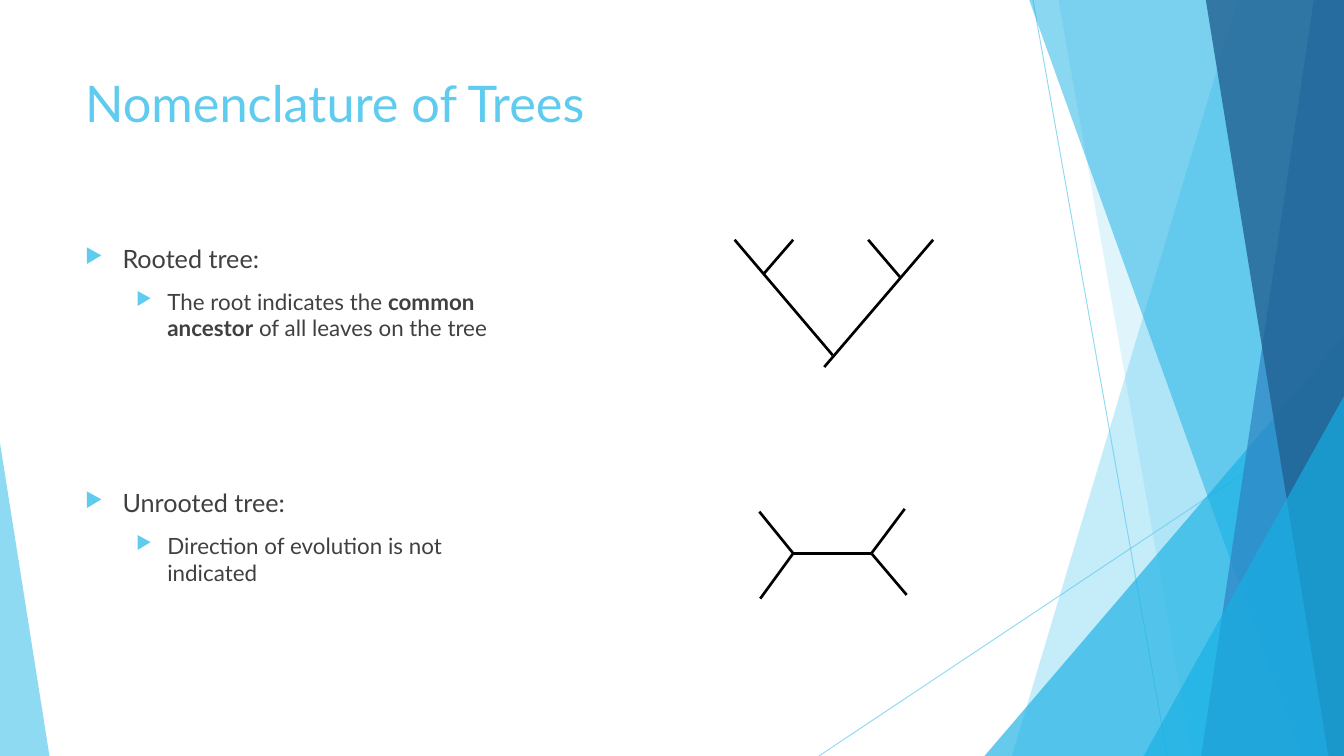
"""Build the slide on the nomenclature of rooted and unrooted trees."""
from lxml.etree import SubElement
from pptx import Presentation
from pptx.dml.color import RGBColor
from pptx.enum.shapes import MSO_CONNECTOR as CONNECTOR, MSO_SHAPE as SHAPE
from pptx.enum.text import MSO_ANCHOR as ANCHOR
from pptx.oxml.ns import qn
from pptx.util import Inches, Pt

SKY = RGBColor(0x5F, 0xCB, 0xEF)
CYAN = RGBColor(0x17, 0xB0, 0xE4)
BLUE = RGBColor(0x2E, 0x83, 0xC3)
NAVY = RGBColor(0x22, 0x62, 0x92)
GREY = RGBColor(0x40, 0x40, 0x40)
BLACK = RGBColor(0, 0, 0)
FONT = "Lato"

presentation = Presentation()
presentation.slide_width = Inches(14.69)
presentation.slide_height = Inches(8.26)
slide = presentation.slides.add_slide(presentation.slide_layouts[6])
shapes = slide.shapes
COLUMN = presentation.slide_width / 100
ROW = presentation.slide_height / 100


def set_opacity(shape, percent):
    for color in shape.element.spPr.iter(qn("a:srgbClr")):
        SubElement(color, qn("a:alpha"), val=str(percent * 1000))


def draw_line(start, end, color, width):
    points = [round(share * unit) for share, unit in zip(start + end, (COLUMN, ROW) * 2)]
    line = shapes.add_connector(CONNECTOR.STRAIGHT, *points)
    line.line.color.rgb = color
    line.line.width = Pt(width)
    SubElement(line.element.spPr, qn("a:effectLst"))
    return line


for start, end in [((76.86, 0), (86.86, 100)), ((100, 53.75), (60.93, 100))]:
    set_opacity(draw_line(start, end, SKY, 0.75), 70)

backdrop = [
    ("facet", (92.1, 75.29), SKY, 36),
    ("facet", (78.76, 88.7), SKY, 20),
    ("triangle", (73.25, 44.43, 100, 1), CYAN, 66),
    ("facet", (76.58, 96.8), CYAN, 50),
    ("facet", (97.75, 89.38), BLUE, 70),
    ("facet", (89.72, 98.84), NAVY, 80),
    ("triangle", (85.09, 52.42, 100, 1), CYAN, 66),
    ("triangle", (0, 58.6, 3.68, 0), SKY, 70),
]
for kind, geometry, color, opacity in backdrop:
    if kind == "facet":
        top_left, bottom_left = geometry
        builder = shapes.build_freeform(round(top_left * COLUMN), 0)
        corners = [(100, 0), (100, 100), (bottom_left, 100)]
        builder.add_line_segments([(round(x * COLUMN), round(y * ROW)) for x, y in corners])
        shape = builder.convert_to_shape()
    else:
        left, top, right, apex = geometry
        shape = shapes.add_shape(
            SHAPE.ISOSCELES_TRIANGLE, round(left * COLUMN), round(top * ROW),
            round((right - left) * COLUMN), round((100 - top) * ROW))
        shape.adjustments[0] = apex
    shape.shadow.inherit = False
    shape.fill.solid()
    shape.fill.fore_color.rgb = color
    shape.line.fill.background()
    set_opacity(shape, opacity)

title_runs = [("Nomenclature of Trees", False)]
root_runs = [("The root indicates the ", False), ("common ancestor", True),
             (" of all leaves on the tree", False)]
direction_runs = [("Direction of evolution is not indicated", False)]
text_boxes = [
    ((5.58, 8.84, 70.52, 19.25), SKY, [(None, 39.7, 0, title_runs)]),
    ((5.58, 31.48, 34.31, 56.66), GREY, [
        (0, 19.8, 0, [("Rooted tree:", False)]),
        (1, 17.6, 11, root_runs),
        (0, 19.8, 115, [("Unrooted tree:", False)]),
        (1, 17.6, 11, direction_runs),
    ]),
]
indents = [(0.41, 0.41), (0.9, 0.34)]
for (left, top, width, height), color, paragraphs in text_boxes:
    box = shapes.add_textbox(round(left * COLUMN), round(top * ROW),
                             round(width * COLUMN), round(height * ROW))
    frame = box.text_frame
    frame.word_wrap = True
    frame.vertical_anchor = ANCHOR.TOP
    frame.margin_left = frame.margin_right = Inches(0.11)
    frame.margin_top = frame.margin_bottom = Inches(0.06)
    for index, (level, size, space, runs) in enumerate(paragraphs):
        paragraph = frame.add_paragraph() if index else frame.paragraphs[0]
        if level is not None:
            paragraph.level = level
            margin, hanging = indents[level]
            properties = paragraph._p.get_or_add_pPr()
            properties.set("marL", str(Inches(margin)))
            properties.set("indent", str(-Inches(hanging)))
            bullet_color = SubElement(properties, qn("a:buClr"))
            SubElement(bullet_color, qn("a:srgbClr"), val=str(SKY))
            SubElement(properties, qn("a:buSzPct"), val="80000")
            SubElement(properties, qn("a:buChar"), char="▶")
        paragraph.space_before = Pt(space)
        for text, bold in runs:
            run = paragraph.add_run()
            run.text = text
            run.font.name = FONT
            run.font.size = Pt(size)
            run.font.bold = bold
            run.font.color.rgb = color

left_joint, right_joint = (59.02, 73.2), (64.84, 73.2)
unrooted_tree = [
    (right_joint, (67.32, 67.31)),
    (right_joint, (67.46, 78.69)),
    (left_joint, (56.57, 79.18)),
    (left_joint, (56.5, 67.68)),
    (left_joint, right_joint),
]
LEAF_ROW = 31.72
rooted_tree = [
    ((61.33, 48.55), (69.43, LEAF_ROW)),
    ((61.95, 46.97), (54.66, LEAF_ROW)),
    ((56.84, 36.2), (59.02, LEAF_ROW)),
    ((66.98, 36.68), (64.6, LEAF_ROW)),
]
for start, end in unrooted_tree + rooted_tree:
    draw_line(start, end, BLACK, 2.1)

presentation.save("out.pptx")
